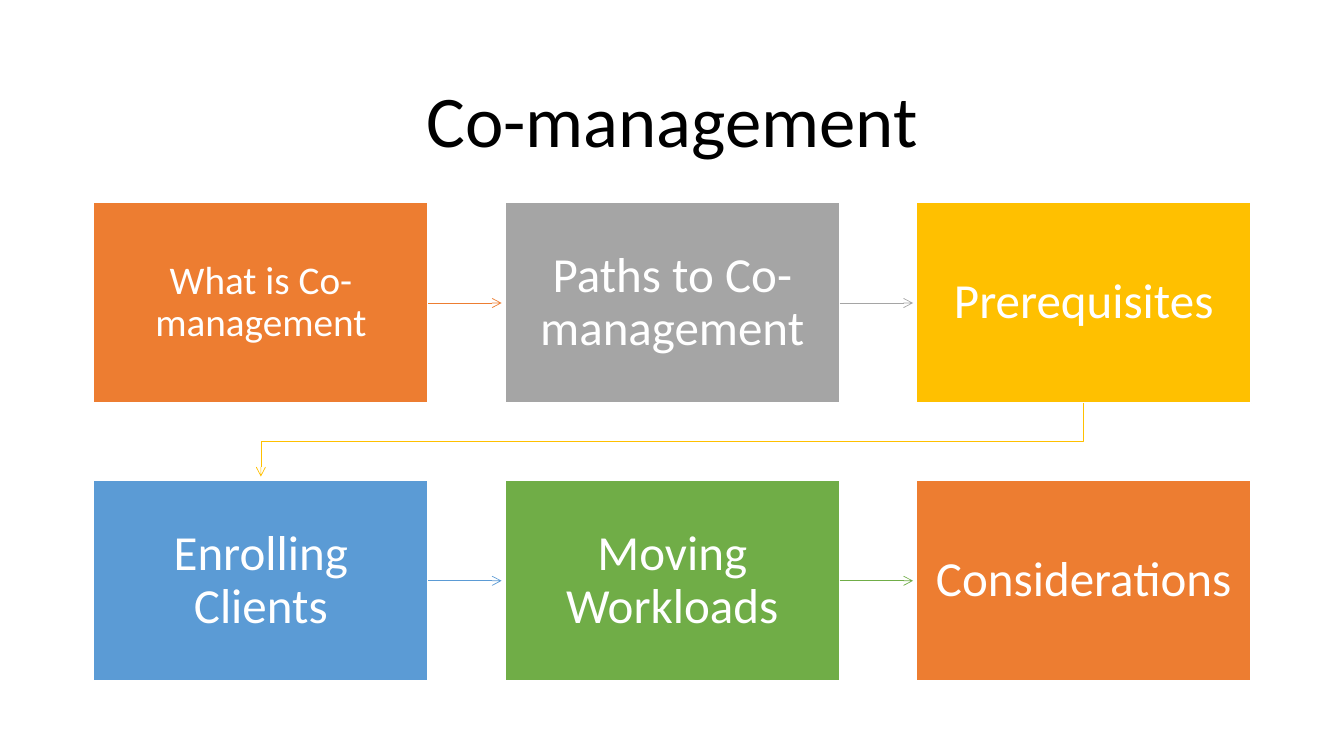
from lxml import etree
from pptx import Presentation
from pptx.dml.color import RGBColor
from pptx.enum.shapes import MSO_CONNECTOR as CONNECTOR, MSO_SHAPE as SHAPE
from pptx.enum.text import MSO_ANCHOR as ANCHOR, PP_ALIGN as ALIGN
from pptx.oxml.ns import qn
from pptx.util import Cm, Pt


def style_text(frame, text, size, color):
    frame.text = text
    frame.word_wrap = True
    frame.vertical_anchor = ANCHOR.MIDDLE
    paragraph = frame.paragraphs[0]
    paragraph.alignment = ALIGN.CENTER
    paragraph.line_spacing = 0.9
    paragraph.font.name = "Calibri"
    paragraph.font.size = Pt(size)
    paragraph.font.color.rgb = RGBColor.from_string(color)


def style_arrow(arrow, color):
    arrow.line.color.rgb = RGBColor.from_string(color)
    arrow.line.width = Pt(0.5)
    etree.SubElement(arrow.line._get_or_add_ln(), qn("a:tailEnd"), type="arrow")
    etree.SubElement(arrow._element.spPr, qn("a:effectLst"))


prs = Presentation()
prs.slide_width, prs.slide_height = Cm(33.87), Cm(19.05)
slide = prs.slides.add_slide(prs.slide_layouts[5])

title = slide.shapes.title
title.left, title.top, title.width, title.height = Cm(2.33), Cm(1.55), Cm(29.21), Cm(3.15)
style_text(title.text_frame, "Co-management", 52, "000000")

steps = [
    ("What is Co-management", 28, "ED7D31"),
    ("Paths to Co-management", 35, "A5A5A5"),
    ("Prerequisites", 35, "FFC000"),
    ("Enrolling Clients", 35, "5B9BD5"),
    ("Moving Workloads", 35, "70AD47"),
    ("Considerations", 35, "ED7D31"),
]
columns = 3
left, top = Cm(2.36), Cm(5.11)
step_width, step_height = Cm(8.43), Cm(5.05)
column_pitch, row_pitch = Cm(10.37), Cm(7)
arrow_length = Cm(1.85)

for index, (text, size, color) in enumerate(steps):
    row, column = divmod(index, columns)
    x, y = left + column * column_pitch, top + row * row_pitch
    step = slide.shapes.add_shape(SHAPE.RECTANGLE, x, y, step_width, step_height)
    step.shadow.inherit = False
    step.fill.solid()
    step.fill.fore_color.rgb = RGBColor.from_string(color)
    step.line.color.rgb = RGBColor.from_string("FFFFFF")
    step.line.width = Pt(1)
    frame = step.text_frame
    frame.margin_left = frame.margin_right = Cm(0.41)
    frame.margin_top = frame.margin_bottom = Cm(0.43)
    style_text(frame, text, size, "FFFFFF")

    if column < columns - 1:
        start, middle = x + step_width, y + step_height // 2
        arrow = slide.shapes.add_connector(
            CONNECTOR.STRAIGHT, start, middle, start + arrow_length, middle)
        style_arrow(arrow, color)

first_center = left + step_width // 2
last_center = first_center + (columns - 1) * column_pitch
row_bottom = top + step_height
turn = row_bottom + (row_pitch - step_height) // 2
outline = slide.shapes.build_freeform(last_center, row_bottom)
outline.add_line_segments(
    [(last_center, turn), (first_center, turn), (first_center, row_bottom + arrow_length)],
    close=False)
row_arrow = outline.convert_to_shape()
row_arrow.fill.background()
style_arrow(row_arrow, "FFC000")

prs.save("out.pptx")
